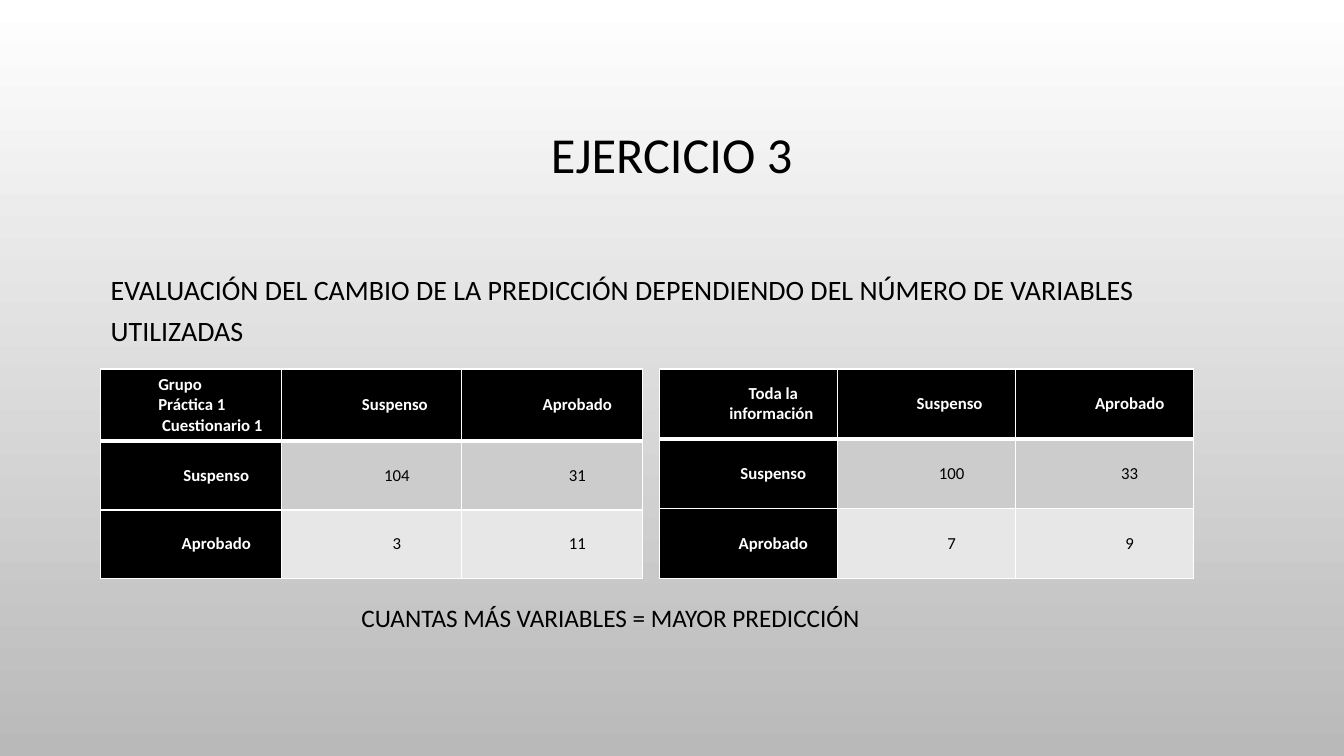
import pptx
import pptx.dml.color
import pptx.enum.text
import pptx.oxml
import pptx.oxml.ns
import pptx.util

Cm = pptx.util.Cm
Pt = pptx.util.Pt
RGBColor = pptx.dml.color.RGBColor
ALIGN = pptx.enum.text.PP_ALIGN
ANCHOR = pptx.enum.text.MSO_ANCHOR
AUTO_SIZE = pptx.enum.text.MSO_AUTO_SIZE

BLACK = RGBColor(0x00, 0x00, 0x00)
WHITE = RGBColor(0xFF, 0xFF, 0xFF)
BACKGROUND_GRAY = RGBColor(0xB9, 0xB9, 0xB9)
BAND_COLORS = [RGBColor(0xCC, 0xCC, 0xCC), RGBColor(0xE7, 0xE7, 0xE7)]

TABLE_TOP = Cm(9.3)
HEADER_RULE = 3
GRID_RULE = 1


def set_attributes(target, values):
    for name, value in values.items():
        setattr(target, name, value)


def set_background(slide):
    fill = slide.background.fill
    fill.gradient()
    fill.gradient_angle = 270
    for stop, color in zip(fill.gradient_stops, [WHITE, BACKGROUND_GRAY]):
        stop.color.rgb = color


def write_paragraph(paragraph, text, size, color, bold=False, **layout):
    run = paragraph.add_run()
    run.text = text
    set_attributes(run.font, {"name": "Calibri", "size": Pt(size), "bold": bold})
    run.font.color.rgb = color
    set_attributes(paragraph, layout)


def add_text(slide, box, text, size, frame_values, **layout):
    shape = slide.shapes.add_textbox(*(Cm(length) for length in box))
    set_attributes(shape.text_frame, {"word_wrap": True, **frame_values})
    write_paragraph(shape.text_frame.paragraphs[0], text, size, BLACK, **layout)


def set_borders(cell, top, bottom):
    """Draw white cell borders; top and bottom are widths in points."""
    properties = cell._tc.get_or_add_tcPr()
    widths = {"lnL": GRID_RULE, "lnR": GRID_RULE, "lnT": top, "lnB": bottom}
    for position, (side, width) in enumerate(widths.items()):
        properties.insert(position, pptx.oxml.parse_xml(
            f'<a:{side} {pptx.oxml.ns.nsdecls("a")} w="{Pt(width)}">'
            f'<a:solidFill><a:srgbClr val="{WHITE}"/></a:solidFill></a:{side}>'))


def fill_cell(cell, text, row, column):
    is_heading = row == 0 or column == 0
    cell.fill.solid()
    cell.fill.fore_color.rgb = BLACK if is_heading else BAND_COLORS[row - 1]
    set_attributes(cell, {
        "vertical_anchor": ANCHOR.MIDDLE,
        "margin_left": Cm(0.18), "margin_right": Cm(0.18),
        "margin_top": 0, "margin_bottom": 0,
    })
    lines = text.split("\n")
    alignment = ALIGN.LEFT if len(lines) > 1 else ALIGN.CENTER
    for number, line in enumerate(lines):
        frame = cell.text_frame
        paragraph = frame.add_paragraph() if number else frame.paragraphs[0]
        write_paragraph(paragraph, line, 12, WHITE if is_heading else BLACK,
                        bold=is_heading, alignment=alignment)
        paragraph._p.get_or_add_pPr().set("marL", str(Cm(1.27)))
    set_borders(cell, top=HEADER_RULE if row == 1 else GRID_RULE,
                bottom=HEADER_RULE if row == 0 else GRID_RULE)


def add_confusion_table(slide, left, column_width, row_heights, corner, counts):
    rows = [
        [corner, "Suspenso ", "Aprobado"],
        ["Suspenso", *counts[0]],
        ["Aprobado", *counts[1]],
    ]
    table = slide.shapes.add_table(
        len(rows), len(rows[0]), Cm(left), TABLE_TOP,
        Cm(column_width * len(rows[0])), Cm(sum(row_heights))).table
    table.horz_banding = False
    for column in table.columns:
        column.width = Cm(column_width)
    for row, (height, texts) in enumerate(zip(row_heights, rows)):
        table.rows[row].height = Cm(height)
        for column, text in enumerate(texts):
            fill_cell(table.cell(row, column), text, row, column)


def main():
    presentation = pptx.Presentation()
    presentation.slide_width = Cm(33.87)
    presentation.slide_height = Cm(19.05)
    slide = presentation.slides.add_slide(presentation.slide_layouts[6])
    set_background(slide)

    add_text(slide, (2.54, 1.73, 28.78, 4.45), "EJERCICIO 3", 36,
             {"vertical_anchor": ANCHOR.MIDDLE},
             alignment=ALIGN.CENTER, line_spacing=0.9)
    add_text(slide, (2.54, 6.58, 28.78, 9.5),
             "EVALUACIÓN DEL CAMBIO DE LA PREDICCIÓN DEPENDIENDO DEL NÚMERO "
             "DE VARIABLES UTILIZADAS", 20, {},
             line_spacing=1.2, space_before=Pt(10))
    add_confusion_table(slide, 16.61, 4.49, [1.76, 1.76, 1.76],
                        "Toda la información ", [["100", "33"], ["7", "9"]])
    add_text(slide, (8.86, 15.06, 15.54, 1.02),
             "CUANTAS MÁS VARIABLES = MAYOR PREDICCIÓN", 18,
             {"auto_size": AUTO_SIZE.SHAPE_TO_FIT_TEXT})
    add_confusion_table(slide, 2.54, 4.55, [1.82, 1.73, 1.73],
                        "Grupo\nPráctica 1\n Cuestionario 1",
                        [["104", "31"], ["3", "11"]])
    presentation.save("out.pptx")


if __name__ == "__main__":
    main()
